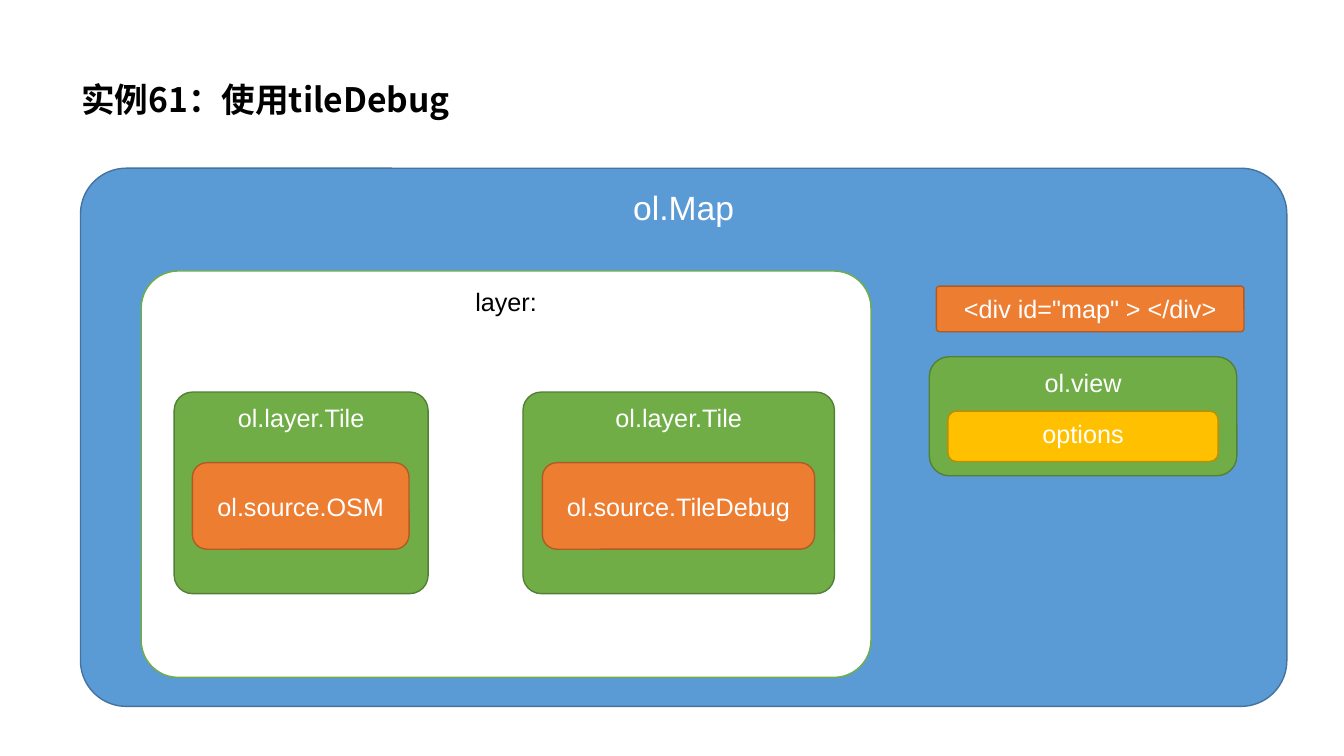
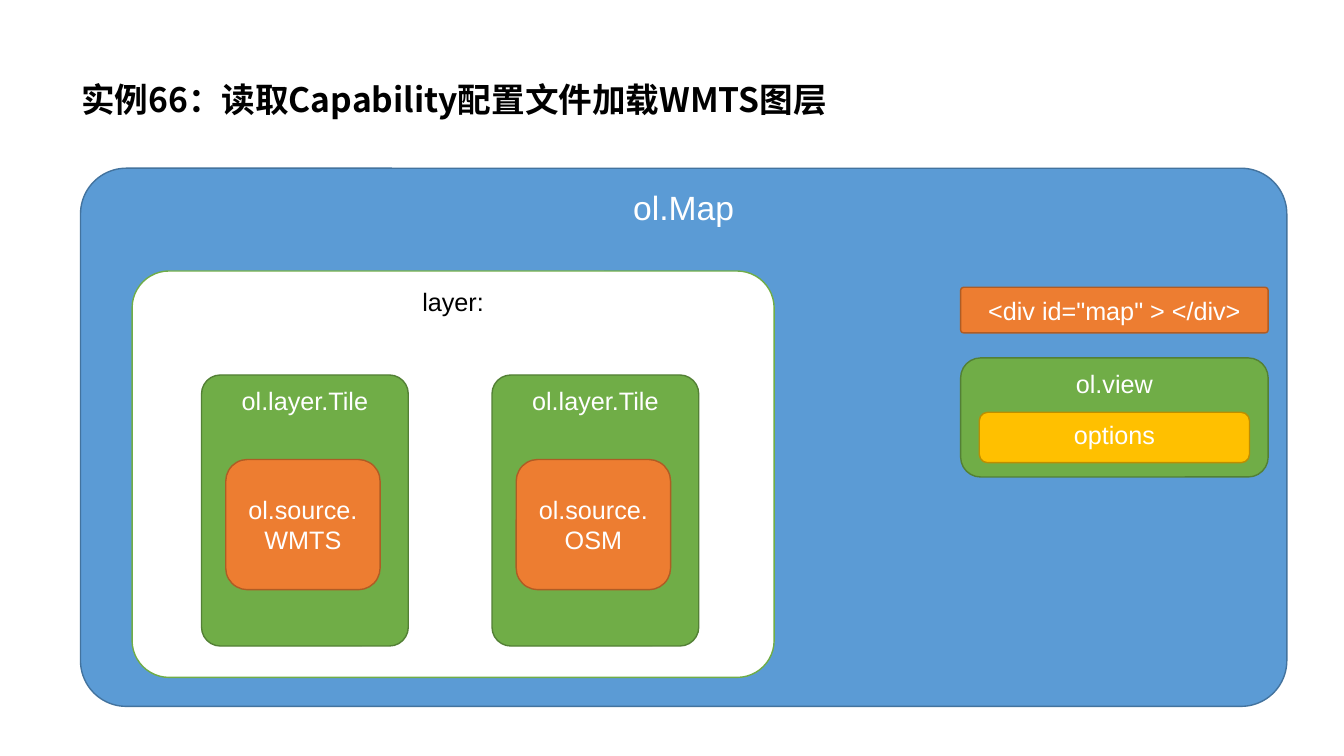
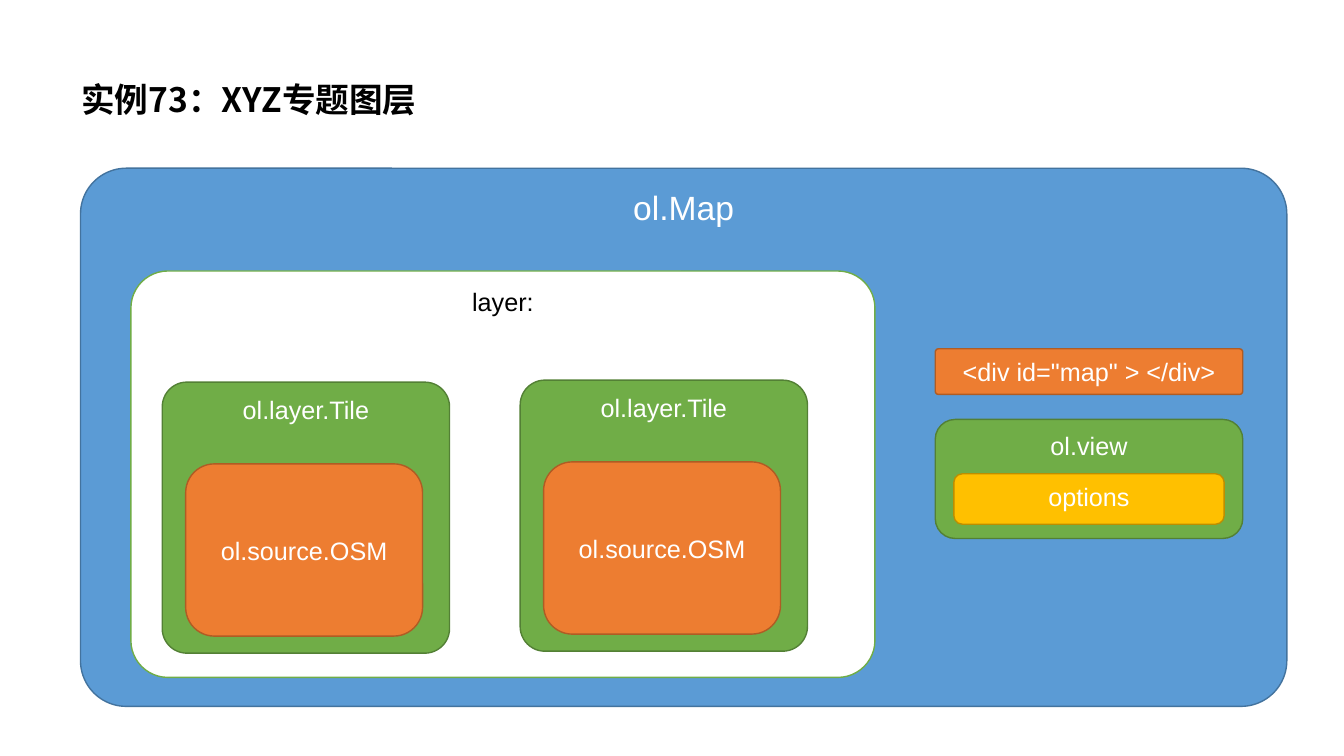
from dataclasses import dataclass
from typing import NamedTuple

from lxml.etree import SubElement
from pptx import Presentation
from pptx.dml.color import RGBColor
from pptx.enum.shapes import MSO_SHAPE as Preset
from pptx.enum.text import MSO_ANCHOR as Anchor, PP_ALIGN as Align
from pptx.oxml.ns import qn
from pptx.util import Cm, Pt

# Shared fonts and colours
TITLE_FONT = "Noto Sans CJK SC"
BODY_FONT = "Arial"
BLACK = RGBColor(0x00, 0x00, 0x00)
WHITE = RGBColor(0xFF, 0xFF, 0xFF)
BLUE = RGBColor(0x5B, 0x9B, 0xD5)
DARK_BLUE = RGBColor(0x43, 0x73, 0x9E)
GREEN = RGBColor(0x70, 0xAD, 0x47)
DARK_GREEN = RGBColor(0x53, 0x80, 0x35)
ORANGE = RGBColor(0xED, 0x7D, 0x31)
DARK_ORANGE = RGBColor(0xAF, 0x5C, 0x24)
GOLD = RGBColor(0xFF, 0xC0, 0x00)
DARK_GOLD = RGBColor(0xBD, 0x8E, 0x00)


class Box(NamedTuple):
    """Left, top, width and height in centimetres."""
    left: float
    top: float
    width: float
    height: float

    def inside(self, parent: "Box") -> "Box":
        return Box(parent.left + self.left, parent.top + self.top, self.width, self.height)


@dataclass(frozen=True)
class Style:
    fill: RGBColor
    line: RGBColor
    corner: float = 0.1667
    anchor: Anchor = Anchor.TOP
    size: int = 18
    color: RGBColor = WHITE


@dataclass(frozen=True)
class Tile:
    box: Box
    source: str
    source_box: Box  # relative to the tile


@dataclass(frozen=True)
class Example:
    title: str
    div_left: float
    div_top: float
    view_left: float
    panel_left: float
    panel_width: float
    tiles: tuple[Tile, ...]


# Styles of the diagram parts
MAP = Style(BLUE, DARK_BLUE, 0.085, size=24)
DIV = Style(ORANGE, DARK_ORANGE, 0.069, Anchor.MIDDLE)
VIEW = Style(GREEN, DARK_GREEN)
OPTIONS = Style(GOLD, DARK_GOLD)
PANEL = Style(WHITE, GREEN, 0.091, color=BLACK)
TILE = Style(GREEN, DARK_GREEN, 0.091)
SOURCE = Style(ORANGE, DARK_ORANGE, anchor=Anchor.MIDDLE)

# Places common to every slide
TITLE_BOX = Box(1.8, 0.71, 29.21, 3.68)
MAP_BOX = Box(2.03, 4.24, 30.4, 13.56)
OPTIONS_BOX = Box(0.47, 1.37, 6.81, 1.27)
VIEW_DROP = 1.78

WMTS_SOURCE_BOX = Box(0.61, 2.13, 3.89, 3.28)
THEME_SOURCE_BOX = Box(0.59, 2.06, 5.97, 4.34)

EXAMPLES = (
    Example("实例61：使用tileDebug", 23.6, 7.21, 23.42, 3.56, 18.39, (
        Tile(Box(4.39, 9.88, 6.4, 5.08), "ol.source.OSM", Box(0.46, 1.78, 5.46, 2.18)),
        Tile(Box(13.18, 9.88, 7.85, 5.08), "ol.source.TileDebug", Box(0.49, 1.78, 6.86, 2.18)),
    )),
    Example("实例66：读取Capability配置文件加载WMTS图层", 24.21, 7.24, 24.21, 3.33, 16.18, (
        Tile(Box(5.08, 9.45, 5.21, 6.83), "ol.source.WMTS", WMTS_SOURCE_BOX),
        Tile(Box(12.4, 9.45, 5.21, 6.83), "ol.source.OSM", WMTS_SOURCE_BOX),
    )),
    Example("实例73：XYZ专题图层", 23.57, 8.79, 23.57, 3.3, 18.75, (
        Tile(Box(4.09, 9.63, 7.24, 6.83), "ol.source.OSM", THEME_SOURCE_BOX),
        Tile(Box(13.11, 9.58, 7.24, 6.83), "ol.source.OSM", THEME_SOURCE_BOX),
    )),
)


def add_title(slide, text: str) -> None:
    shape = slide.shapes.add_textbox(*map(Cm, TITLE_BOX))
    text_frame = shape.text_frame
    text_frame.word_wrap = True
    text_frame.vertical_anchor = Anchor.MIDDLE
    text_frame.text = text
    paragraph = text_frame.paragraphs[0]
    paragraph.line_spacing = 0.9
    font = paragraph.runs[0].font
    font.name, font.size, font.bold = TITLE_FONT, Pt(24), True
    font.color.rgb = BLACK
    # East Asian typeface
    properties = paragraph.runs[0]._r.get_or_add_rPr()
    SubElement(properties, qn("a:ea")).set("typeface", TITLE_FONT)


def add_box(shapes, box: Box, text: str, style: Style) -> None:
    shape = shapes.add_shape(Preset.ROUNDED_RECTANGLE, *map(Cm, box))
    shape.adjustments[0] = style.corner
    shape.shadow.inherit = False
    shape.fill.solid()
    shape.fill.fore_color.rgb = style.fill
    shape.line.color.rgb = style.line
    shape.line.width = Pt(1)
    text_frame = shape.text_frame
    text_frame.word_wrap = True
    text_frame.vertical_anchor = style.anchor
    text_frame.text = text
    paragraph = text_frame.paragraphs[0]
    paragraph.alignment = Align.CENTER
    font = paragraph.runs[0].font
    font.name, font.size = BODY_FONT, Pt(style.size)
    font.color.rgb = style.color


def add_example(presentation, example: Example) -> None:
    slide = presentation.slides.add_slide(presentation.slide_layouts[6])
    shapes = slide.shapes
    add_title(slide, example.title)
    add_box(shapes, MAP_BOX, "ol.Map", MAP)

    # Map target and view
    div_box = Box(example.div_left, example.div_top, 7.75, 1.15)
    add_box(shapes, div_box, '<div id="map" > </div>', DIV)
    view_box = Box(example.view_left, example.div_top + VIEW_DROP, 7.75, 3)
    view_group = shapes.add_group_shape()
    add_box(view_group.shapes, view_box, "ol.view", VIEW)
    add_box(view_group.shapes, OPTIONS_BOX.inside(view_box), "options", OPTIONS)

    # Layers with their sources
    add_box(shapes, Box(example.panel_left, 6.83, example.panel_width, 10.24), "layer:", PANEL)
    for tile in example.tiles:
        add_box(shapes, tile.box, "ol.layer.Tile", TILE)
        add_box(shapes, tile.source_box.inside(tile.box), tile.source, SOURCE)


def main() -> None:
    presentation = Presentation()
    presentation.slide_width, presentation.slide_height = Cm(33.87), Cm(19.05)
    for example in EXAMPLES:
        add_example(presentation, example)
    presentation.save("out.pptx")


if __name__ == "__main__":
    main()
